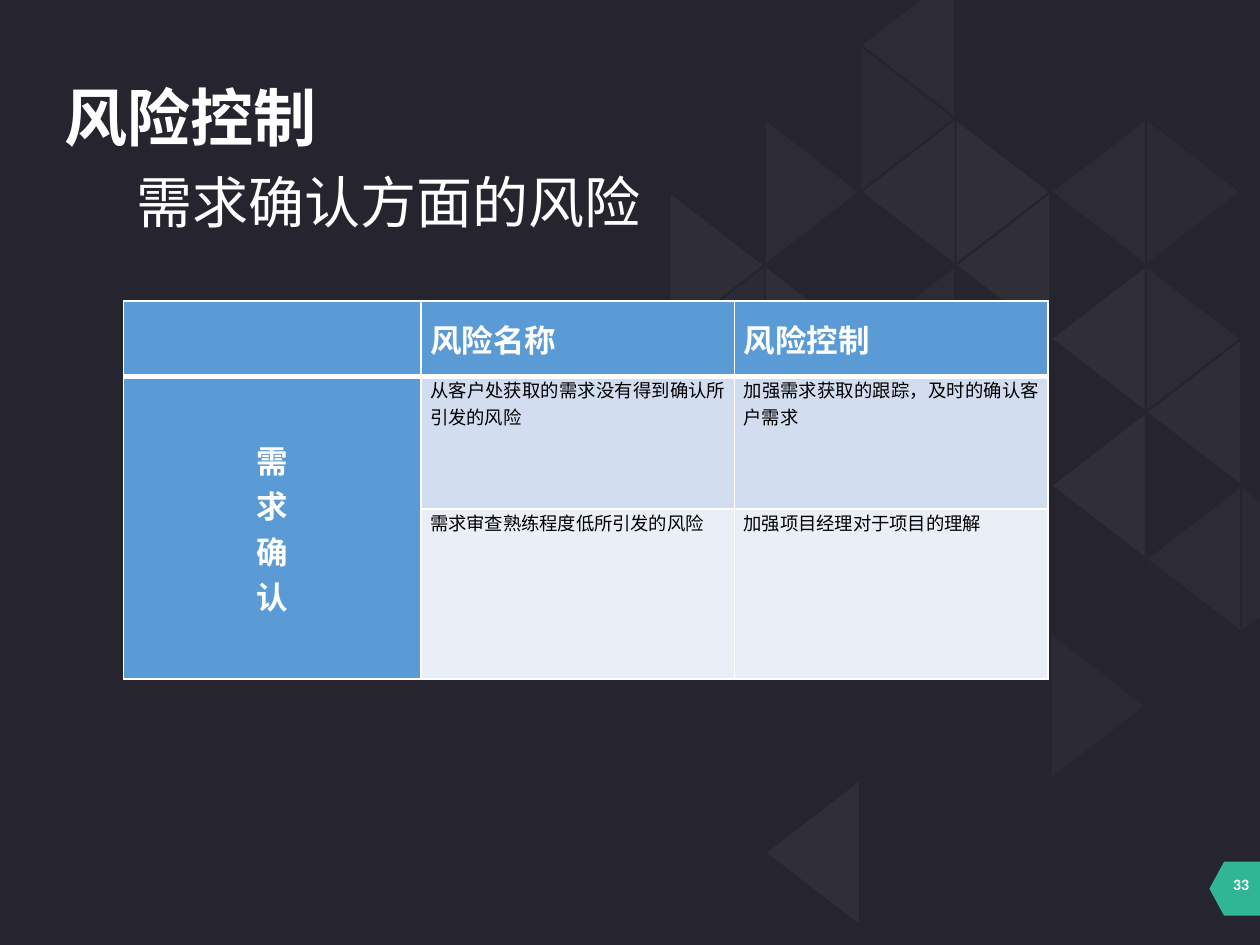
from lxml.etree import SubElement
from pptx import Presentation
from pptx.dml.color import RGBColor
from pptx.enum.shapes import MSO_SHAPE as Preset
from pptx.enum.text import MSO_ANCHOR as Anchor, MSO_AUTO_SIZE as AutoSize, PP_ALIGN as Align
from pptx.oxml.ns import qn
from pptx.util import Cm, Pt

COLORS = {
    "background": "26252F", "white": "FFFFFF", "black": "000000", "badge": "30B695",
    "header": "5B9BD5", "band_dark": "D2DEEF", "band_light": "EAEFF7",
}
GRID_LEFT, GRID_TOP, GRID_WIDTH, GRID_HEIGHT = 11.58, -2.05, 1.92, 1.48
TRIANGLES = [
    ("FBFBFB", 5, [(4, 3), (2, 5), (2, 7)]),
    ("F2F2F2", 5, [(5, 5), (3, 7), (2, 12), (4, 4), (5, 7)]),
    ("D9D9D9", 5, [(3, 3), (6, 6), (1, 4), (4, 8)]),
    ("BFBFBF", 5, [(1, 6), (6, 5), (6, 8), (5, 3), (3, 5), (2, 3), (3, 1)]),
    ("A6A6A6", 5, [(1, 5), (2, 8), (4, 7), (7, 8), (5, 10), (6, 3), (3, 2)]),
    (None, 0, [(6, 1), (3, 0), (5, 6), (1, 10), (7, 7), (7, 6), (5, 4), (2, 6), (0, 4), (2, 2),
               (5, 2), (4, 2), (7, 4), (6, 4), (5, 9), (4, 0), (0, 5), (5, 8), (5, 1), (7, 3),
               (1, 1), (3, 8), (2, 9), (1, 9), (3, 4), (4, 5), (3, 10), (4, 1)]),
    ("808080", 2, [(4, 12), (6, 0), (6, 9), (7, 1), (6, 2), (1, 0), (6, 11), (4, 9)]),
    (None, 0, [(7, 0), (7, 2), (6, 12)]),
]
COLUMN_WIDTHS = [6, 6.32, 6.32]
ROW_HEIGHTS = [1.52, 2.67, 3.43]
RISKS = [
    ["", "风险名称", "风险控制"],
    ["需\n求\n确\n认", "从客户处获取的需求没有得到确认所引发的风险", "加强需求获取的跟踪，及时的确认客户需求"],
    ["", "需求审查熟练程度低所引发的风险", "加强项目经理对于项目的理解"],
]


def rgb(name):
    """Return the named palette colour."""
    return RGBColor.from_string(COLORS[name])


def write_text(text_frame, text, size, color="white", font="Calibri", bold=False, align=Align.LEFT):
    """Set the text and format every run alike."""
    text_frame.text = text
    for paragraph in text_frame.paragraphs:
        paragraph.alignment = align
        paragraph.space_before = Pt(0)
        for run in paragraph.runs:
            run.font.size, run.font.bold, run.font.name = Pt(size), bold, font
            run.font.color.rgb = rgb(color)


def place_text(shape, left, top, width, height, wrap):
    """Position a text shape and anchor its text at the top."""
    shape.left, shape.top, shape.width, shape.height = map(Cm, (left, top, width, height))
    shape.text_frame.auto_size = AutoSize.NONE
    shape.text_frame.word_wrap = wrap
    shape.text_frame.vertical_anchor = Anchor.TOP


def add_triangle(shapes, column, row, color, opacity):
    """Add a grid triangle pointing left on even cells and right on odd ones."""
    near = GRID_LEFT + column * GRID_WIDTH
    far = near + GRID_WIDTH
    base, tip = (far, near) if (column + row) % 2 == 0 else (near, far)
    top, middle, bottom = (GRID_TOP + (row + step) * GRID_HEIGHT for step in range(3))
    builder = shapes.build_freeform(Cm(base), Cm(top))
    builder.add_line_segments([(Cm(tip), Cm(middle)), (Cm(base), Cm(bottom))], close=True)
    triangle = builder.convert_to_shape()
    triangle.shadow.inherit = False
    triangle.line.color.rgb = rgb("background")
    triangle.line.width = Pt(1.25)
    if color is None:
        triangle.fill.background()
        return
    triangle.fill.solid()
    triangle.fill.fore_color.rgb = RGBColor.from_string(color)
    fill_color = triangle.element.spPr.find(qn("a:solidFill"))[0]
    SubElement(fill_color, qn("a:alpha"), val=str(opacity * 1000))


def add_pattern(slide):
    """Add the triangle pattern behind everything else."""
    group = slide.shapes.add_group_shape()
    for color, opacity, cells in TRIANGLES:
        for column, row in cells:
            add_triangle(group.shapes, column, row, color, opacity)
    slide.shapes.element.insert(2, group.element)


def add_page_badge(slide, number):
    """Add the page number on its arrow-shaped badge."""
    badge = slide.shapes.add_shape(Preset.PENTAGON, Cm(24.38), Cm(17.37), Cm(1.02), Cm(1.09))
    badge.rotation = 180
    badge.adjustments[0] = 0.29
    badge.shadow.inherit = False
    badge.fill.solid()
    badge.fill.fore_color.rgb = rgb("badge")
    badge.line.fill.background()
    label = slide.shapes.add_textbox(0, 0, 0, 0)
    place_text(label, 24.61, 17.5, 0.89, 0.64, wrap=False)
    write_text(label.text_frame, number, 9, bold=True)


def style_cell(cell, fill, bottom_width):
    """Give a cell white borders, its fill and its margins."""
    properties = cell._tc.get_or_add_tcPr()
    for side, width in (("L", 1), ("R", 1), ("T", 1), ("B", bottom_width)):
        border = SubElement(properties, qn(f"a:ln{side}"), w=str(Pt(width)))
        SubElement(SubElement(border, qn("a:solidFill")), qn("a:srgbClr"), val=COLORS["white"])
    cell.fill.solid()
    cell.fill.fore_color.rgb = rgb(fill)
    cell.margin_left = cell.margin_right = Cm(0.18)
    cell.margin_top = cell.margin_bottom = 0


def add_risk_table(slide):
    """Add the table of risks and their controls."""
    frame = slide.shapes.add_table(len(RISKS), len(COLUMN_WIDTHS), Cm(2.49), Cm(6.07),
                                   Cm(sum(COLUMN_WIDTHS)), Cm(sum(ROW_HEIGHTS)))
    table = frame.table
    table.horz_banding = False
    for column, width in zip(table.columns, COLUMN_WIDTHS):
        column.width = Cm(width)
    for row, height in zip(table.rows, ROW_HEIGHTS):
        row.height = Cm(height)
    table.cell(1, 0).merge(table.cell(2, 0))
    bands = ["header", "band_dark", "band_light"]
    for row_index, texts in enumerate(RISKS):
        for column_index, text in enumerate(texts):
            cell = table.cell(row_index, column_index)
            heading = row_index == 0 or column_index == 0
            style_cell(cell, "header" if heading else bands[row_index], 3 if row_index == 0 else 1)
            if not text:
                continue
            cell.vertical_anchor = Anchor.MIDDLE if heading else Anchor.TOP
            write_text(cell.text_frame, text, 18 if heading else 10.5,
                       "white" if heading else "black", bold=heading,
                       align=Align.CENTER if column_index == 0 else Align.JUSTIFY)


def add_headings(slide):
    """Fill the title and body placeholders."""
    title, body = slide.shapes.title, slide.placeholders[1]
    place_text(title, 1.04, 1.45, 5.66, 1.8, wrap=False)
    write_text(title.text_frame, "风险控制", 36, font="Manrope", bold=True)
    place_text(body, 2.49, 3.25, 22.17, 1.63, wrap=True)
    write_text(body.text_frame, "需求确认方面的风险", 32)
    properties = body.text_frame.paragraphs[0]._p.get_or_add_pPr()
    properties.set("marL", "0")
    properties.set("indent", "0")
    SubElement(properties, qn("a:buNone"))


def main():
    """Build and save the slide."""
    presentation = Presentation()
    presentation.slide_width, presentation.slide_height = Cm(25.4), Cm(19.05)
    slide = presentation.slides.add_slide(presentation.slide_layouts[1])
    slide.background.fill.solid()
    slide.background.fill.fore_color.rgb = rgb("background")
    add_pattern(slide)
    add_page_badge(slide, "33")
    add_headings(slide)
    add_risk_table(slide)
    presentation.save("out.pptx")


if __name__ == "__main__":
    main()
